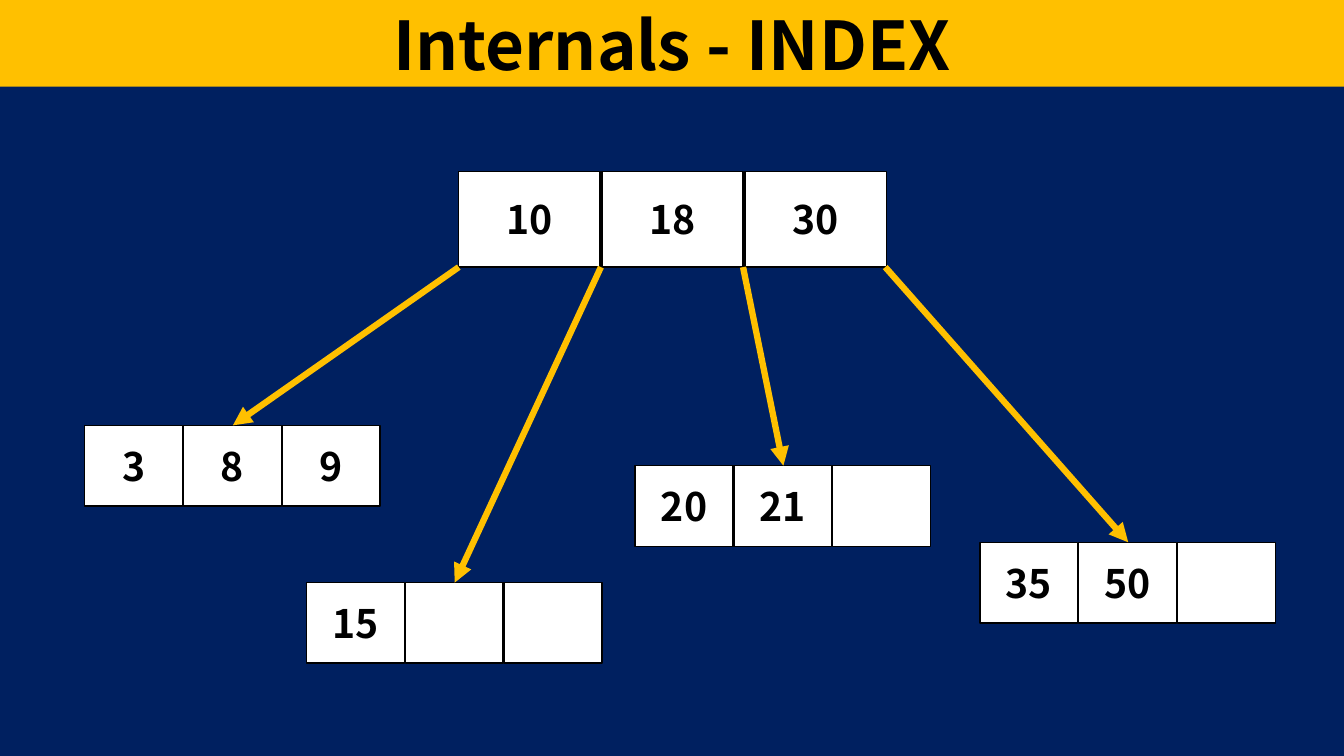
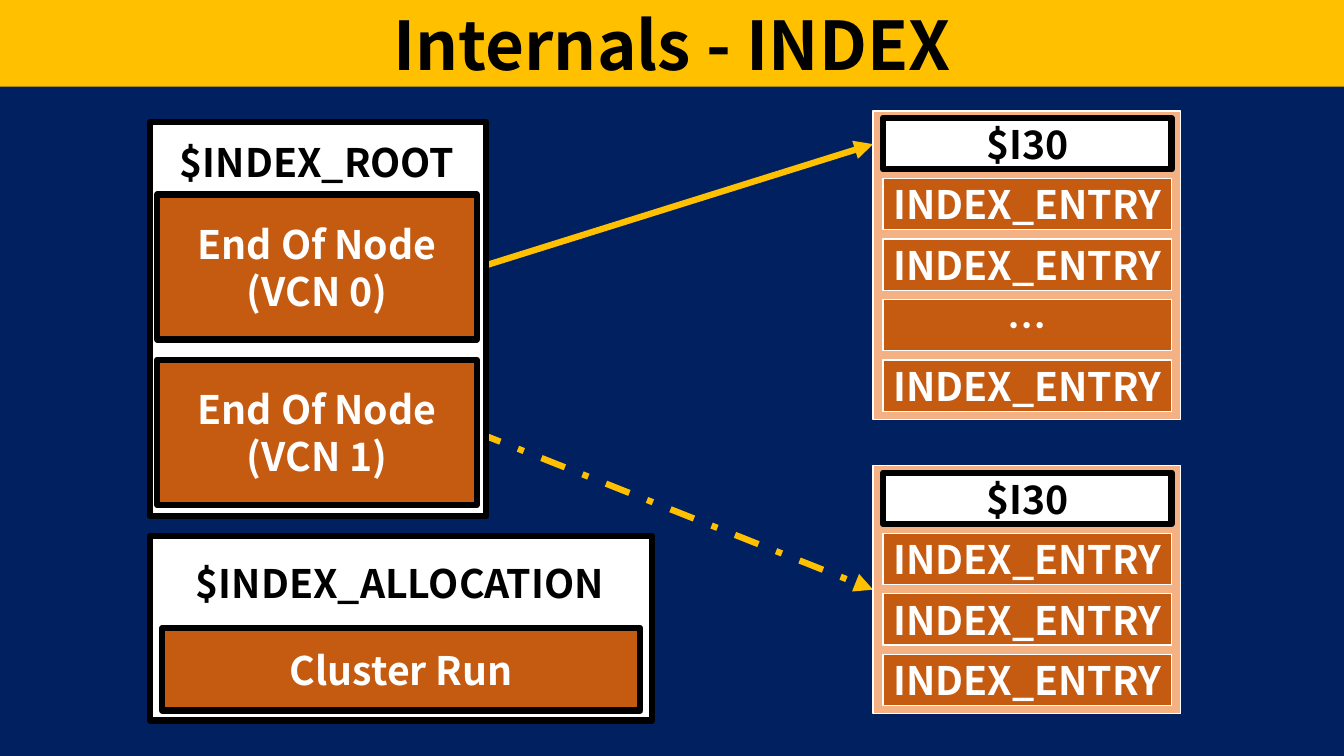
from lxml import etree
from pptx import Presentation
from pptx import util as u
from pptx.dml.color import RGBColor
from pptx.enum import dml, shapes, text
from pptx.oxml import ns

# Shared colours and formats
NAVY = RGBColor(0x00, 0x20, 0x60)
AMBER = RGBColor(0xFF, 0xC0, 0x00)
RUST = RGBColor(0xC5, 0x5A, 0x11)
PEACH = RGBColor(0xF4, 0xB1, 0x83)
BLACK = RGBColor(0x00, 0x00, 0x00)
WHITE = RGBColor(0xFF, 0xFF, 0xFF)

FONT = {"name": "Noto Sans CJK KR", "bold": True}
FRAME = {"word_wrap": True, "auto_size": text.MSO_AUTO_SIZE.NONE,
         "margin_left": 0, "margin_right": 0}
THIN, THICK = 1, 4.5
SLIDE_W, SLIDE_H, BAND_H = 13.33, 7.5, 0.86


def apply(target, formats):
    for name, value in formats.items():
        setattr(target, name, value)


def inches(*lengths):
    return [u.Inches(length) for length in lengths]


def write(sp, words, color, size=28, anchor=text.MSO_ANCHOR.MIDDLE):
    """Fill a shape with centred bold text, one paragraph per line."""
    tf = sp.text_frame
    tf.text = words
    apply(tf, FRAME | {"vertical_anchor": anchor})
    for p in tf.paragraphs:
        p.alignment = text.PP_ALIGN.CENTER
        for r in p.runs:
            r.font.color.rgb = color
            apply(r.font, FONT | {"size": u.Pt(size)})
            ea = etree.SubElement(r.font._element, ns.qn("a:ea"))
            ea.set("typeface", FONT["name"])


def add_slide(prs, title):
    """Start a slide with the amber title band."""
    s = prs.slides.add_slide(prs.slide_layouts[5])
    band = s.shapes.title
    apply(band, dict(zip(("left", "top", "width", "height"),
                         inches(0, 0, SLIDE_W, BAND_H))))
    band.fill.solid()
    band.fill.fore_color.rgb = AMBER
    write(band, title, BLACK, size=48)
    return s


def add_box(parent, at, fill, line, weight, words="", color=BLACK):
    sp = parent.shapes.add_shape(shapes.MSO_SHAPE.RECTANGLE, *inches(*at))
    sp.shadow.inherit = False
    sp.fill.solid()
    sp.fill.fore_color.rgb = fill
    sp.line.color.rgb = line
    sp.line.width = u.Pt(weight)
    if words:
        write(sp, words, color)


def add_label(parent, at, words):
    write(parent.shapes.add_textbox(*inches(*at)), words, BLACK,
          anchor=text.MSO_ANCHOR.TOP)


def add_arrow(s, start, end, dash=None):
    line = s.shapes.add_connector(shapes.MSO_CONNECTOR.STRAIGHT,
                                  *inches(*start, *end))
    line.line.color.rgb = AMBER
    line.line.width = u.Pt(THICK)
    if dash:
        line.line.dash_style = dash
    ln = line.line._get_or_add_ln()
    etree.SubElement(ln, ns.qn("a:tailEnd")).set("type", "triangle")
    etree.SubElement(line._element.spPr, ns.qn("a:effectLst"))


def add_node(s, left, top, width, height, pitch, keys):
    """One tree node: a row of key cells."""
    group = s.shapes.add_group_shape()
    for i, key in enumerate(keys):
        add_box(group, (left + i * pitch, top, width, height),
                WHITE, BLACK, THIN, key)


def add_index_block(s, top, entries):
    """A $I30 header above a stack of index entries."""
    left, width, pitch = 8.66, 3.05, 0.6
    group = s.shapes.add_group_shape()
    add_box(group, (left, top, width, (len(entries) + 1) * pitch + 0.06),
            PEACH, WHITE, THIN)
    rows = [("$I30", WHITE, BLACK, THICK, BLACK)]
    rows += [(entry, RUST, WHITE, THIN, WHITE) for entry in entries]
    for i, (words, fill, line, weight, color) in enumerate(rows):
        add_box(group, (left + 0.1, top + 0.07 + i * pitch, 2.86, 0.51),
                fill, line, weight, words, color)


def add_attribute(s, frame, label, name, parts):
    """A white attribute frame with its name and rust-coloured parts."""
    group = s.shapes.add_group_shape()
    add_box(group, frame, WHITE, BLACK, THICK)
    add_label(group, label, name)
    for at, words in parts:
        add_box(group, at, RUST, BLACK, THICK, words, WHITE)


def tree_slide(prs):
    s = add_slide(prs, "Internals - INDEX")
    root_left, root_top, root_h = 4.55, 1.7, 0.95
    add_node(s, root_left, root_top, 1.4, root_h, 1.42, ("10", "18", "30"))

    leaves = [
        (0.84, 4.22, ("3", "8", "9")),
        (3.04, 5.78, ("15", "", "")),
        (6.3, 4.62, ("20", "21", "")),
        (9.72, 5.38, ("35", "50", "")),
    ]
    for i, (left, top, keys) in enumerate(leaves):
        add_node(s, left, top, 0.97, 0.8, 0.98, keys)
        add_arrow(s, (root_left + i * 1.41, root_top + root_h),
                  (left + 1.47, top))


def allocation_slide(prs):
    s = add_slide(prs, "Internals - INDEX")

    # Arrows lie behind the attribute frames
    add_arrow(s, (4.73, 4.29), (8.66, 5.85), dml.MSO_LINE.DASH_DOT)
    add_arrow(s, (4.73, 2.66), (8.66, 1.43))

    # Attributes
    nodes = [((1.56, 1.93 + i * 1.64, 3.17, 1.44), f"End Of Node\n(VCN {i})")
             for i in range(2)]
    add_attribute(s, (1.49, 1.21, 3.33, 3.91), (1.62, 1.32, 3.05, 0.58),
                  "$INDEX_ROOT", nodes)
    add_attribute(s, (1.49, 5.32, 4.98, 1.83), (1.69, 5.5, 4.55, 0.58),
                  "$INDEX_ALLOCATION",
                  [((1.61, 6.23, 4.74, 0.82), "Cluster Run")])

    # Index blocks
    entry = "INDEX_ENTRY"
    add_index_block(s, 1.1, [entry, entry, "…", entry])
    add_index_block(s, 4.62, [entry] * 3)


def main():
    prs = Presentation()
    prs.slide_width, prs.slide_height = inches(SLIDE_W, SLIDE_H)
    background = prs.slide_master.background.fill
    background.solid()
    background.fore_color.rgb = NAVY
    tree_slide(prs)
    allocation_slide(prs)
    prs.save("out.pptx")


if __name__ == "__main__":
    main()
